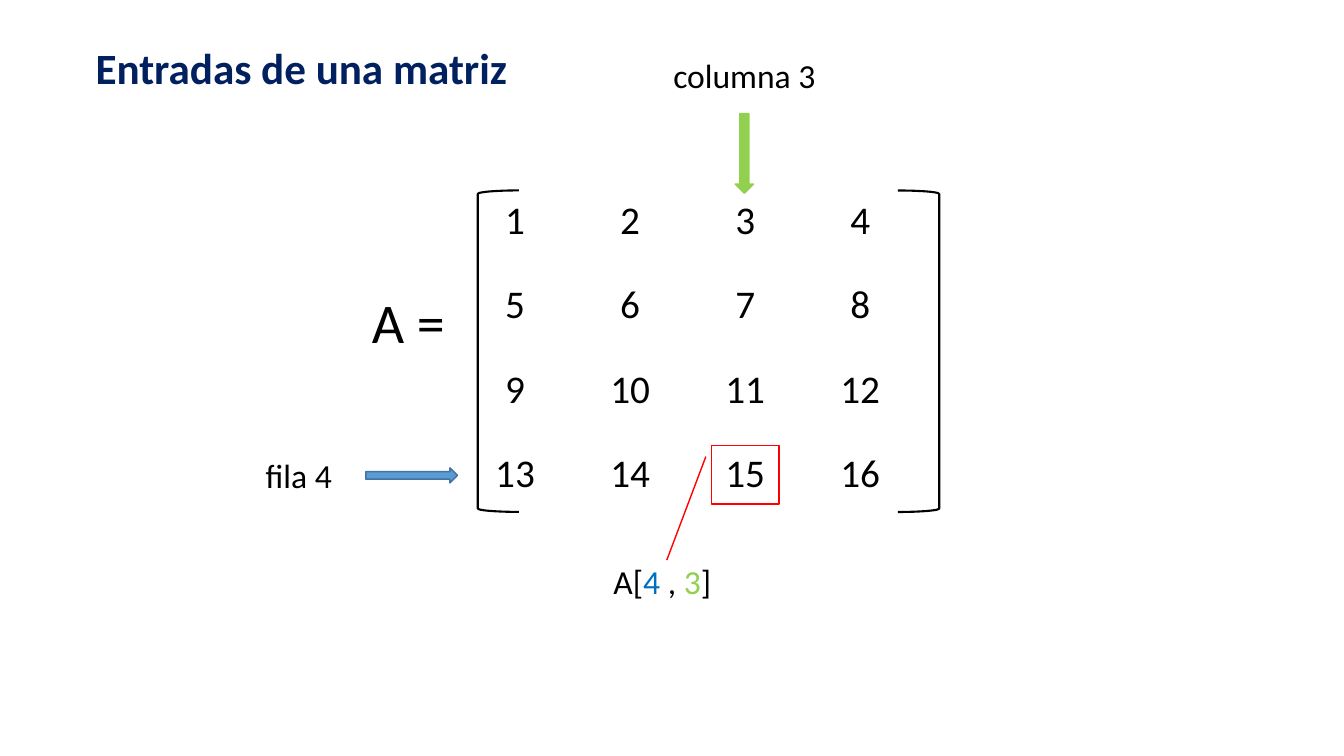
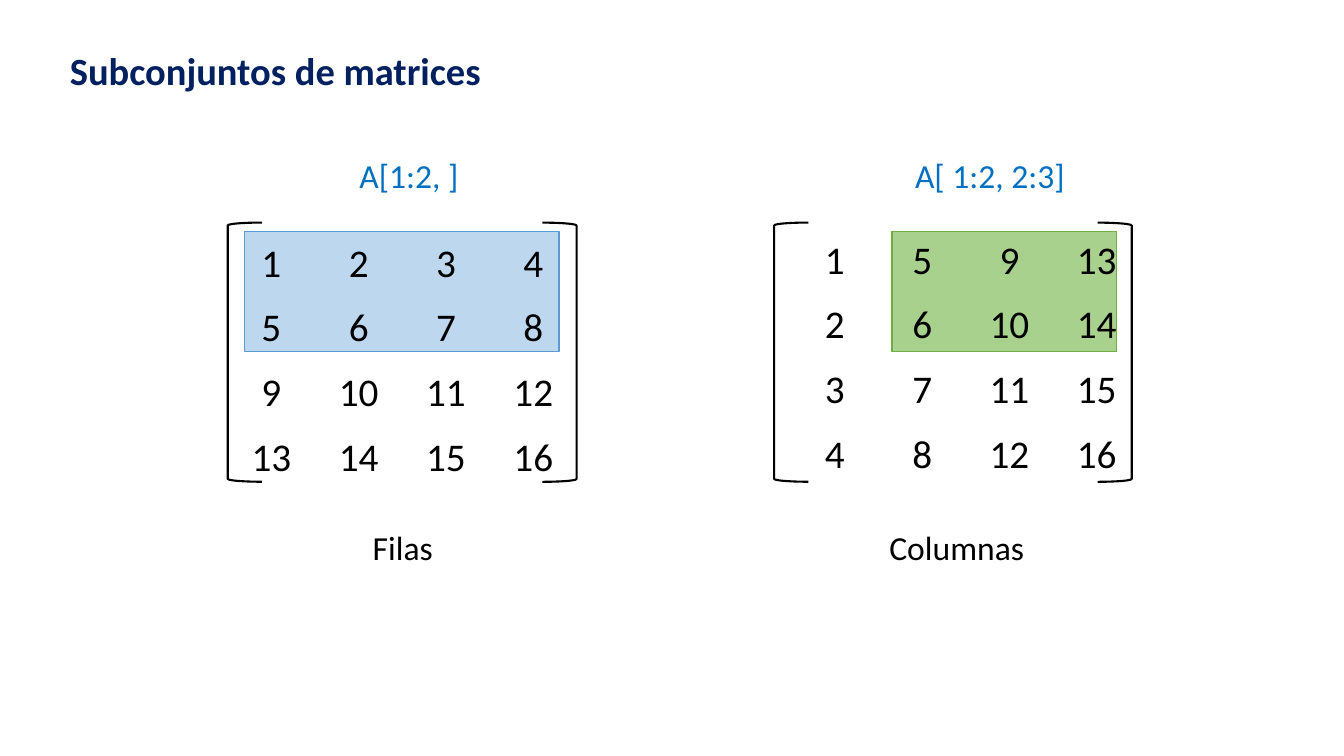
from pptx import Presentation
from pptx.dml.color import RGBColor
from pptx.enum.shapes import MSO_SHAPE
from pptx.enum.text import MSO_ANCHOR, MSO_AUTO_SIZE, PP_ALIGN
from pptx.util import Cm, Pt

LEFT, CENTER = PP_ALIGN.LEFT, PP_ALIGN.CENTER
BOTTOM = MSO_ANCHOR.BOTTOM
NO_AUTOFIT, GROW = MSO_AUTO_SIZE.NONE, MSO_AUTO_SIZE.SHAPE_TO_FIT_TEXT
RECTANGLE, BRACKET = MSO_SHAPE.RECTANGLE, MSO_SHAPE.LEFT_BRACKET
RIGHT_ARROW, DOWN_ARROW = MSO_SHAPE.RIGHT_ARROW, MSO_SHAPE.DOWN_ARROW
CALLOUT = MSO_SHAPE.LINE_CALLOUT_1

FONT = "Calibri"
BLACK, NAVY, BLUE, GREEN, RED = "000000", "002060", "0070C0", "92D050", "FF0000"
PLAIN_TABLE = "{2D5ABB26-0587-4C30-8999-92F81FD0307C}"
LABEL_WIDTH, LABEL_HEIGHT = 5.1, 1.27

ROWS = [[4 * row + column + 1 for column in range(4)] for row in range(4)]
COLUMNS = list(zip(*ROWS))

ENTRIES = {
    "title": ("Entradas de una matriz", 1.85, 30.8),
    "matrix": dict(values=ROWS, at=(11.53, 4.83), cell=(2.9, 2.13),
                   brackets=(12.04, 22.63), bracket_box=(4.8, 1.04, 8.1)),
    "name": ("A =", (9.12, 7.11, 3.15, 1.96)),
    "index": ([("A[", BLACK), ("4 ", BLUE), (", ", BLACK), ("3", GREEN), ("]", BLACK)],
              (15.21, 14, 3.33, LABEL_HEIGHT)),
    "labels": [("fila 4", 4.98, 11.33), ("columna 3", 16.21, 1.27)],
    "arrows": [(RIGHT_ARROW, (9.22, 11.79, 2.31, 0.38), "5B9BD5", "43739E"),
               (DOWN_ARROW, (18.53, 2.86, 0.46, 2.01), GREEN, GREEN)],
    "callout": ((17.93, 11.23, 1.7, 1.47), (0.188, -0.083, 1.962, -0.662)),
}

SUBSETS = {
    "title": ("Subconjuntos de matrices", 1.19, 27.5),
    "panels": [
        dict(code=("A[1:2, ]", 8.81, 3.18), caption=("Filas", 7.6),
             highlight=(6.17, 7.92, "BDD7EE", "5B9BD5"),
             values=ROWS, at=(5.74, 5.92), brackets=(5.74, 13.67)),
        dict(code=("A[ 1:2, 2:3]", 22.81, 4.45), caption=("Columnas", 21.56),
             highlight=(22.48, 5.66, "A9D18E", "70AD47"),
             values=COLUMNS, at=(19.94, 5.84), brackets=(19.51, 27.66)),
    ],
}


def rgb(value):
    return RGBColor.from_string(value)


def cm(*lengths):
    return [Cm(length) for length in lengths]


def style(run, size, color, bold=False):
    run.font.name = FONT
    run.font.size = Pt(size)
    run.font.bold = bold
    run.font.color.rgb = rgb(color)


def add_slide(deck, text, left, size):
    slide = deck.slides.add_slide(deck.slide_layouts[5])
    title = slide.shapes.title
    title.left, title.top, title.width, title.height = cm(left, 0.46, 11.5, 2)
    frame = title.text_frame
    frame.text = text
    frame.auto_size = NO_AUTOFIT
    frame.vertical_anchor = BOTTOM
    paragraph = frame.paragraphs[0]
    paragraph.alignment = CENTER
    paragraph.line_spacing = 0.8
    style(paragraph.runs[0], size, NAVY, bold=True)
    return slide


def add_label(slide, parts, box, size=24, align=LEFT):
    frame = slide.shapes.add_textbox(*cm(*box)).text_frame
    frame.word_wrap = True
    frame.auto_size = GROW
    paragraph = frame.paragraphs[0]
    paragraph.alignment = align
    for text, color in parts:
        run = paragraph.add_run()
        run.text = text
        style(run, size, color)


def add_outline(slide, preset, box, line, fill=None, weight=1):
    shape = slide.shapes.add_shape(preset, *cm(*box))
    shape.shadow.inherit = False
    if fill:
        shape.fill.solid()
        shape.fill.fore_color.rgb = rgb(fill)
    else:
        shape.fill.background()
    shape.line.color.rgb = rgb(line)
    shape.line.width = Pt(weight)
    return shape


def add_matrix(slide, values, at, cell, brackets, bracket_box):
    width, height = (4 * side for side in cell)
    frame = slide.shapes.add_table(4, 4, *cm(*at, width, height))
    table = frame.table
    table.first_row = table.horz_banding = False
    for style_id in frame._element.xpath(".//a:tableStyleId"):
        style_id.text = PLAIN_TABLE
    for row, numbers in enumerate(values):
        for column, number in enumerate(numbers):
            entry = table.cell(row, column)
            entry.fill.background()
            entry.text_frame.text = str(number)
            paragraph = entry.text_frame.paragraphs[0]
            paragraph.alignment = CENTER
            style(paragraph.runs[0], 28, BLACK)
    for left, rotation in zip(brackets, (0, 180)):
        bracket = add_outline(slide, BRACKET, (left, *bracket_box), BLACK, weight=1.5)
        bracket.rotation = rotation


def build_entries(deck):
    slide = add_slide(deck, *ENTRIES["title"])
    add_matrix(slide, **ENTRIES["matrix"])
    box, pointer = ENTRIES["callout"]
    callout = add_outline(slide, CALLOUT, box, RED)
    for position, value in enumerate(pointer):
        callout.adjustments[position] = value
    name, box = ENTRIES["name"]
    add_label(slide, [(name, BLACK)], box, size=40)
    add_label(slide, *ENTRIES["index"])
    for text, left, top in ENTRIES["labels"]:
        add_label(slide, [(text, BLACK)], (left, top, LABEL_WIDTH, LABEL_HEIGHT), align=CENTER)
    for preset, box, fill, line in ENTRIES["arrows"]:
        add_outline(slide, preset, box, line, fill)


def build_subsets(deck):
    slide = add_slide(deck, *SUBSETS["title"])
    for panel in SUBSETS["panels"]:
        left, width, fill, line = panel["highlight"]
        add_outline(slide, RECTANGLE, (left, 5.84, width, 3.02), line, fill)
        add_matrix(slide, panel["values"], panel["at"], (2.2, 1.63),
                   panel["brackets"], (5.61, 0.86, 6.53))
        code, left, width = panel["code"]
        add_label(slide, [(code, BLUE)], (left, 3.78, width, LABEL_HEIGHT))
        caption, left = panel["caption"]
        add_label(slide, [(caption, BLACK)], (left, 13.16, LABEL_WIDTH, LABEL_HEIGHT), align=CENTER)


def main():
    deck = Presentation()
    deck.slide_width, deck.slide_height = cm(33.87, 19.05)
    build_entries(deck)
    build_subsets(deck)
    deck.save("out.pptx")


if __name__ == "__main__":
    main()
